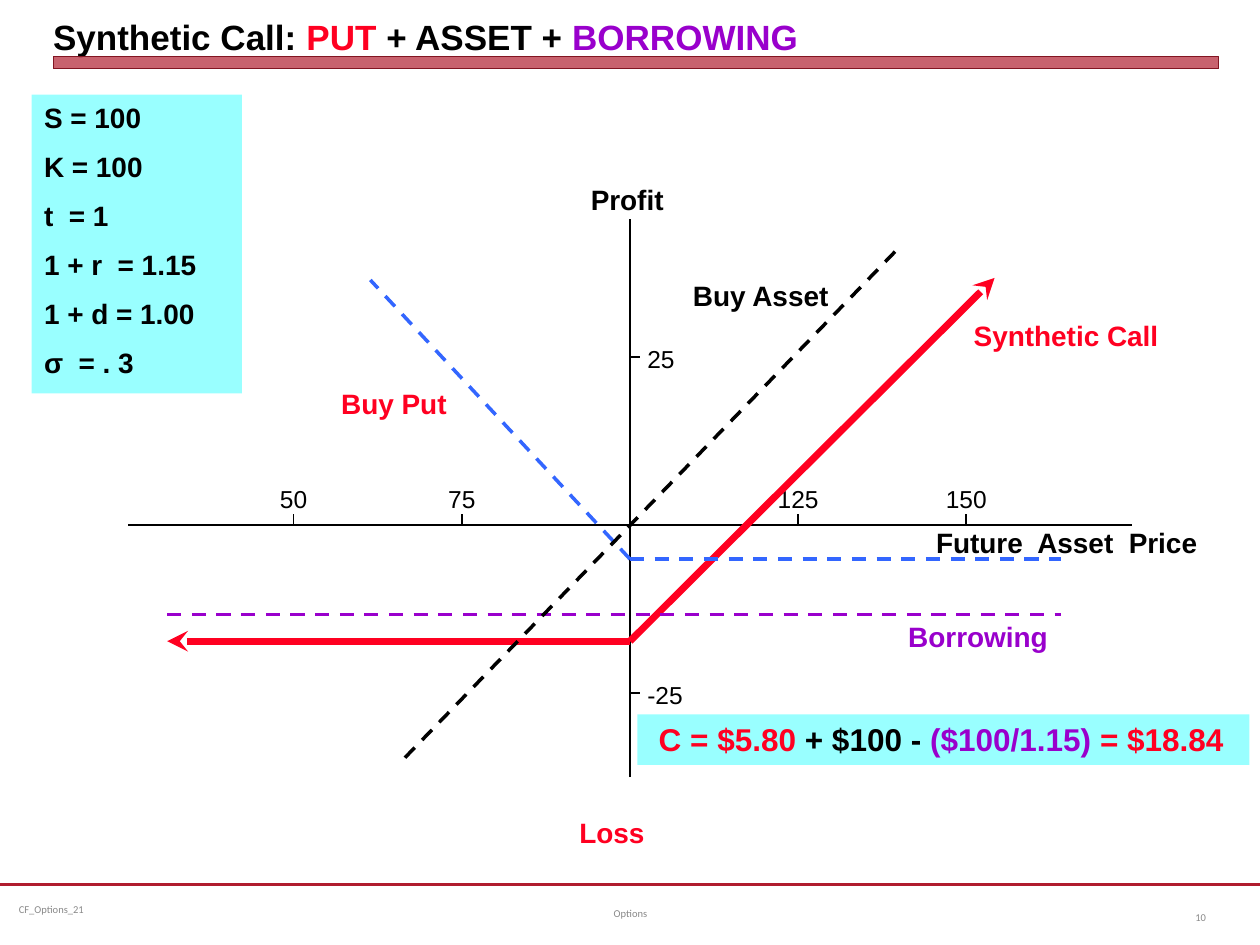
from lxml import etree
from pptx import Presentation
from pptx.dml.color import RGBColor
from pptx.enum import dml, shapes, text
from pptx.oxml.ns import qn
from pptx.util import Cm, Pt

THEME = {
    "font": "Arial", "footer_font": "Calibri",
    "black": "000000", "red": "FF0021", "purple": "9900CC", "blue": "3366FF",
    "cyan": "99FFFF", "bar": "B01C2E", "bar_edge": "821522", "grey": "898989",
    "title": 20, "formula": 18, "label": 16, "tick": 14, "footer": 6,
}
ALIGN = text.PP_ALIGN

TITLE = [("Synthetic Call: ", "black"), ("PUT ", "red"),
         ("+ ASSET + ", "black"), ("BORROWING", "purple")]
INPUTS = ["S = 100", "K = 100", "t  = 1", "1 + r  = 1.15", "1 + d = 1.00", "σ  = . 3"]
FORMULA = [("C = $5.80", "red"), (" + $100 - ", "black"),
           ("($100/1.15) ", "purple"), ("= $18.84", "red")]

# Plot in data units: (asset price, profit)
PRICE_TICKS = [50, 75, 125, 150]
PROFIT_TICKS = [25, -25]
AXES = [((25.4, 0), (174.6, 0)), ((100, -37.5), (100, 45.4))]
CALL_KINK, PUT_KINK = (100, -17.3), (100, -5.1)
PAYOFFS = [  # start, end, colour, width, dashed
    (CALL_KINK, (31.2, -17.3), "red", 4, False),
    (CALL_KINK, (154.2, 36.7), "red", 4, False),
    (PUT_KINK, (164.1, -5.1), "blue", 2, True),
    (PUT_KINK, (61.4, 36.4), "blue", 2, True),
    ((31.2, -13.3), (164.1, -13.3), "purple", 2, True),
    ((139.4, 40.6), (65.7, -35.5), "black", 2, True),
]
# text, colour, left, top, width in cm
LABELS = [
    ("Future  Asset  Price", "black", 18.62, 10.46, 6.55),
    ("Synthetic Call", "red", 19.38, 6.3, 4.24),
    ("Buy Put", "red", 6.63, 7.67, 2.64),
    ("Borrowing", "purple", 18.06, 12.37, 3.33),
    ("Buy Asset", "black", 13.72, 5.49, 3.28),
    ("Profit", "black", 11.66, 3.56, 2.08),
    ("Loss", "red", 11.43, 16.31, 1.88),
]
# text, alignment, left, top, width in cm
FOOTERS = [
    ("CF_Options_21", ALIGN.LEFT, 0.13, 17.83, 6.55),
    ("Options", ALIGN.CENTER, 8.69, 17.91, 8.04),
    ("10", ALIGN.RIGHT, 23.29, 17.98, 1.27),
]
ORIGIN_X, ORIGIN_Y, UNIT = 12.7, 10.58, 3.39 / 25
TICK = 0.21


def color(name):
    return RGBColor.from_string(THEME[name])


def plot(point):
    """Turn (price, profit) into slide centimetres."""
    price, profit = point
    return ORIGIN_X + (price - 100) * UNIT, ORIGIN_Y - profit * UNIT


def add_line(sl, start, end, name, width, dashed=False, arrow=False):
    sp = sl.shapes.add_connector(shapes.MSO_CONNECTOR.STRAIGHT,
                                 *(Cm(v) for v in (*start, *end)))
    sp.line.color.rgb = color(name)
    sp.line.width = Pt(width)
    if dashed:
        sp.line.dash_style = dml.MSO_LINE.DASH
    if arrow:
        etree.SubElement(sp.line._get_or_add_ln(), qn("a:tailEnd"), type="stealth")
    etree.SubElement(sp._element.spPr, qn("a:effectLst"))


def add_runs(p, runs, size, bold=True, font="font"):
    for words, name in runs:
        r = p.add_run()
        r.text = words
        r.font.name = THEME[font]
        r.font.size = Pt(THEME[size])
        r.font.bold = bold
        r.font.color.rgb = color(name)


def add_text(sl, box, paragraphs, size, bold=True, font="font",
             align=ALIGN.LEFT, fill=None, wrap=True):
    """Add a text box with one list of (words, colour) runs per paragraph."""
    sp = sl.shapes.add_textbox(*(Cm(v) for v in box))
    if fill:
        sp.fill.solid()
        sp.fill.fore_color.rgb = color(fill)
    tf = sp.text_frame
    tf.word_wrap = wrap
    for i, runs in enumerate(paragraphs):
        p = tf.add_paragraph() if i else tf.paragraphs[0]
        p.alignment = align
        if i:
            p.space_before = Pt(8.8)
        add_runs(p, runs, size, bold, font)
    return tf


def add_heading(sl):
    bar = sl.shapes.add_shape(shapes.MSO_SHAPE.RECTANGLE,
                              Cm(1.07), Cm(1.14), Cm(23.5), Cm(0.25))
    bar.shadow.inherit = False
    bar.fill.solid()
    bar.fill.fore_color.rgb = color("bar")
    srgb = bar._element.spPr.find(".//" + qn("a:srgbClr"))
    etree.SubElement(srgb, qn("a:alpha"), val="69000")
    bar.line.color.rgb = color("bar_edge")
    bar.line.width = Pt(0.5)

    title = sl.shapes.title
    title.left, title.top, title.width, title.height = (
        Cm(v) for v in (1.07, 0.13, 23.5, 1.02))
    tf = title.text_frame
    tf.margin_left = tf.margin_right = tf.margin_top = tf.margin_bottom = 0
    tf.vertical_anchor = text.MSO_ANCHOR.BOTTOM
    tf.paragraphs[0].alignment = ALIGN.LEFT
    add_runs(tf.paragraphs[0], TITLE, "title")


def add_payoff_diagram(sl):
    for price in PRICE_TICKS:
        x, y = plot((price, 0))
        add_line(sl, (x, y), (x, y - TICK), "black", 1)
        add_text(sl, (x - 1, y - 0.95, 2, 0.85), [[(str(price), "black")]],
                 "tick", bold=False, align=ALIGN.CENTER)
    for profit in PROFIT_TICKS:
        x, y = plot((100, profit))
        add_line(sl, (x, y), (x + TICK, y), "black", 1)
        add_text(sl, (x + 0.1, y - 0.38, 1.7, 0.85), [[(str(profit), "black")]],
                 "tick", bold=False)
    for words, name, left, top, width in LABELS:
        add_text(sl, (left, top, width, 0.94), [[(words, name)]], "label", wrap=False)
    for start, end in AXES:
        add_line(sl, plot(start), plot(end), "black", 1)
    for start, end, name, width, dashed in PAYOFFS:
        add_line(sl, plot(start), plot(end), name, width, dashed, arrow=not dashed)


def main():
    prs = Presentation()
    prs.slide_width, prs.slide_height = Cm(25.4), Cm(19.05)
    sl = prs.slides.add_slide(prs.slide_layouts[5])
    add_heading(sl)
    add_payoff_diagram(sl)
    add_text(sl, (0.64, 1.91, 4.24, 6.02), [[(line, "black")] for line in INPUTS],
             "label", fill="cyan")
    tf = add_text(sl, (12.85, 14.4, 12.34, 1.02), [FORMULA], "formula", fill="cyan")
    tf.margin_left = Cm(0.43)
    add_line(sl, (0, 17.83), (25.4, 17.83), "bar", 1.25)
    for words, align, left, top, width in FOOTERS:
        tf = add_text(sl, (left, top, width, 1.02), [[(words, "grey")]], "footer",
                      bold=False, font="footer_font", align=align)
        tf.vertical_anchor = text.MSO_ANCHOR.MIDDLE
    prs.save("out.pptx")


if __name__ == "__main__":
    main()
